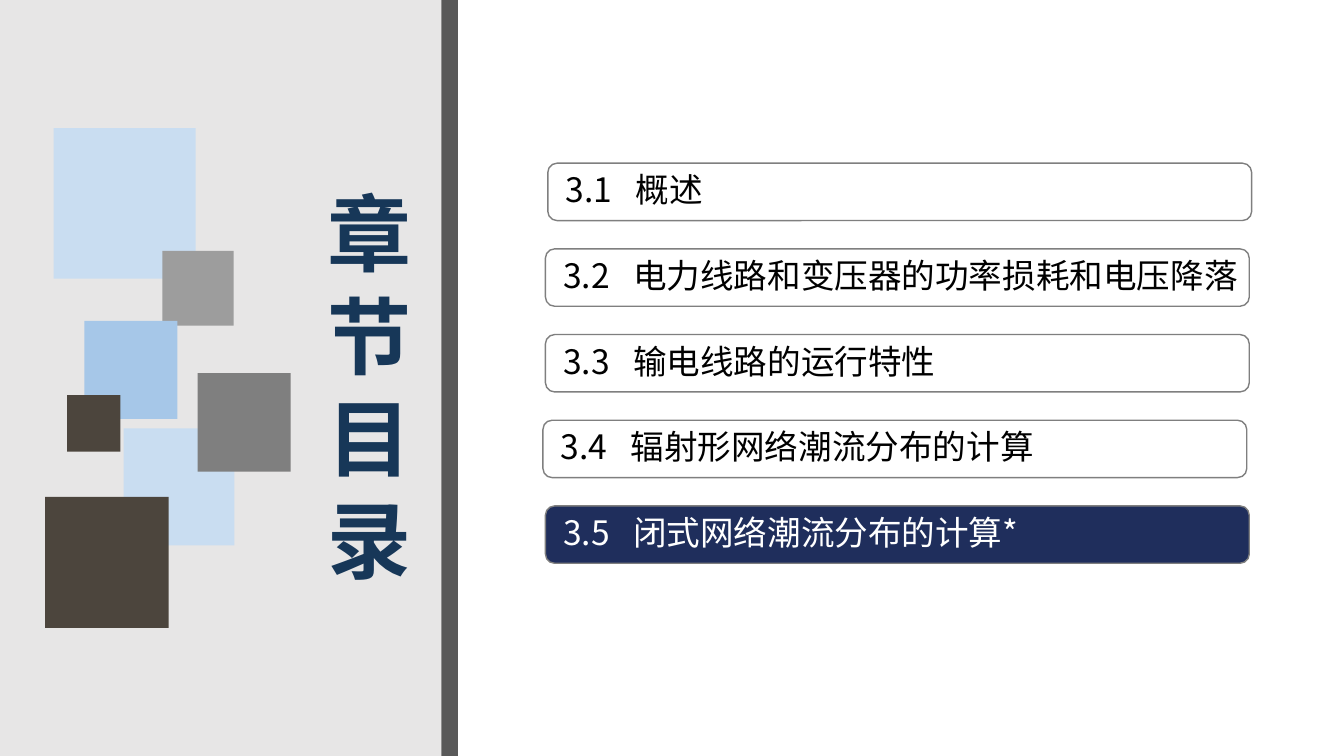
from lxml.etree import SubElement
from pptx import Presentation
from pptx.dml.color import RGBColor
from pptx.enum.shapes import MSO_SHAPE
from pptx.enum.text import MSO_ANCHOR, PP_ALIGN
from pptx.oxml.ns import qn
from pptx.util import Pt

WHITE = RGBColor(0xFF, 0xFF, 0xFF)
BLACK = RGBColor(0x00, 0x00, 0x00)
PANEL_GREY = RGBColor(0xE7, 0xE6, 0xE6)
DIVIDER_GREY = RGBColor(0x59, 0x59, 0x59)
LIGHT_GREY = RGBColor(0x9D, 0x9D, 0x9D)
MID_GREY = RGBColor(0x7F, 0x7F, 0x7F)
PALE_BLUE = RGBColor(0xC9, 0xDD, 0xF1)
SKY_BLUE = RGBColor(0xA6, 0xC7, 0xE8)
BROWN = RGBColor(0x4C, 0x45, 0x3D)
TITLE_BLUE = RGBColor(0x17, 0x37, 0x58)
NAVY = RGBColor(0x1F, 0x2E, 0x5C)

SLIDE_WIDTH, SLIDE_HEIGHT = 960.5, 540
PANEL_WIDTH = 315.4
SECTION_TOP, SECTION_STEP = 116.6, 61.2
SECTION_WIDTH, SECTION_HEIGHT = 503, 41

SQUARES = [
    (38.4, 91.6, 101.4, 107.4, PALE_BLUE),
    (116, 179.3, 51, 53.4, LIGHT_GREY),
    (60.4, 229.2, 66.4, 70, SKY_BLUE),
    (48, 282.2, 38, 40.4, BROWN),
    (88.4, 306, 79.2, 83.6, PALE_BLUE),
    (141.2, 266.6, 66.6, 70.4, MID_GREY),
    (32.2, 355, 88.4, 93.6, BROWN),
]

SECTIONS = [
    (391.5, "3.1", "概述"),
    (389.8, "3.2", "电力线路和变压器的功率损耗和电压降落"),
    (389.8, "3.3", "输电线路的运行特性"),
    (388, "3.4", "辐射形网络潮流分布的计算"),
    (389.8, "3.5", "闭式网络潮流分布的计算*"),
]
CURRENT_SECTION = "3.5"


class ChapterSlide:
    """Holds the font and the slide, and draws each kind of element."""

    font_name = "Noto Sans CJK SC"

    def __init__(self, presentation):
        self.slide = presentation.slides.add_slide(presentation.slide_layouts[6])

    def block(self, left, top, width, height, fill, outline=None, kind=MSO_SHAPE.RECTANGLE):
        block = self.slide.shapes.add_shape(kind, Pt(left), Pt(top), Pt(width), Pt(height))
        block.shadow.inherit = False
        block.fill.solid()
        block.fill.fore_color.rgb = fill
        if outline is None:
            block.line.fill.background()
        else:
            block.line.color.rgb = outline
            block.line.width = Pt(1)
        return block

    def frame(self, holder, **margins):
        frame = holder.text_frame
        frame.word_wrap = True
        for side, length in margins.items():
            setattr(frame, f"margin_{side}", Pt(length))
        return frame

    def wording(self, paragraph, words, color, **font_format):
        paragraph.alignment = PP_ALIGN.LEFT
        run = paragraph.add_run()
        run.text = words
        for name, value in {"name": self.font_name, **font_format}.items():
            setattr(run.font, name, value)
        run.font.color.rgb = color
        east_asian = SubElement(run._r.get_or_add_rPr(), qn("a:ea"))
        east_asian.set("typeface", self.font_name)

    def vertical_title(self, left, top, width, height, characters):
        title = self.slide.shapes.add_textbox(Pt(left), Pt(top), Pt(width), Pt(height))
        frame = self.frame(title, left=7.2, right=7.2, top=8, bottom=0)
        for index, character in enumerate(characters):
            paragraph = frame.add_paragraph() if index else frame.paragraphs[0]
            paragraph.line_spacing = Pt(73)
            self.wording(paragraph, character, TITLE_BLUE, size=Pt(60), bold=True)

    def section(self, left, top, number, heading, current):
        bar = self.block(left, top, SECTION_WIDTH, SECTION_HEIGHT, NAVY if current else WHITE,
                         MID_GREY, MSO_SHAPE.ROUNDED_RECTANGLE)
        bar.adjustments[0] = 0.16
        frame = self.frame(bar, left=10.8, right=4, top=0, bottom=0)
        frame.vertical_anchor = MSO_ANCHOR.MIDDLE
        paragraph = frame.paragraphs[0]
        tabs = SubElement(paragraph._p.get_or_add_pPr(), qn("a:tabLst"))
        SubElement(tabs, qn("a:tab"), pos=str(Pt(50)), algn="l")
        paragraph.line_spacing = 0.9
        self.wording(paragraph, f"{number}\t{heading}", WHITE if current else BLACK, size=Pt(24))


def main():
    presentation = Presentation()
    presentation.slide_width = Pt(SLIDE_WIDTH)
    presentation.slide_height = Pt(SLIDE_HEIGHT)
    contents = ChapterSlide(presentation)
    contents.block(0, 0, PANEL_WIDTH, SLIDE_HEIGHT, PANEL_GREY)
    contents.vertical_title(226.8, 121, 88.6, 295.2, "章节目录")
    contents.block(PANEL_WIDTH, 0, 11.8, SLIDE_HEIGHT, DIVIDER_GREY)
    for square in SQUARES:
        contents.block(*square)
    for row, (left, number, heading) in enumerate(SECTIONS):
        top = SECTION_TOP + row * SECTION_STEP
        contents.section(left, top, number, heading, number == CURRENT_SECTION)
    presentation.save("out.pptx")


if __name__ == "__main__":
    main()
